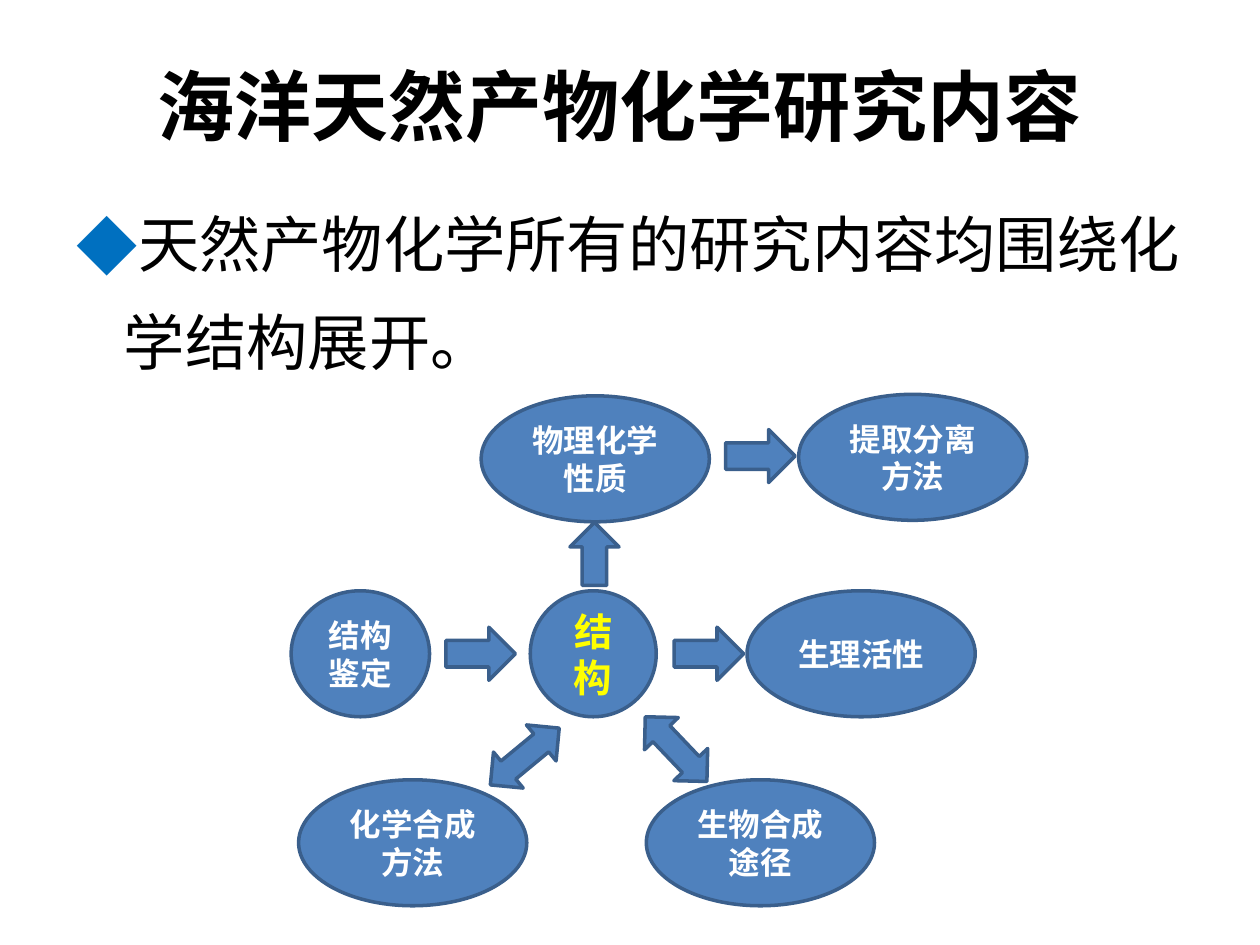
from lxml import etree
from pptx import Presentation
from pptx import util as u
from pptx.dml.color import RGBColor
from pptx.enum import shapes, text
from pptx.oxml import ns

FONT = "Noto Sans CJK SC"
BLACK = RGBColor(0, 0, 0)
WHITE = RGBColor(255, 255, 255)
YELLOW = RGBColor(255, 255, 0)
FILL = RGBColor(0x4F, 0x81, 0xBD)
OUTLINE = RGBColor(0x3A, 0x5F, 0x8C)
BULLET = RGBColor(0x00, 0x70, 0xC0)

ROW_Y = 11.91
BOTTOM_Y = 15.72
NODE_W, NODE_H = 4.6, 2.54
ARROW_W, ARROW_H = 1.4, 1.07


class Diagram:
    def __init__(self, slide):
        self.slide = slide

    def label(self, shape, wording, size, color, bold=False,
              align=text.PP_ALIGN.CENTER, anchor=text.MSO_ANCHOR.MIDDLE):
        frame = shape.text_frame
        frame.word_wrap = True
        frame.auto_size = text.MSO_AUTO_SIZE.NONE
        frame.vertical_anchor = anchor
        frame.text = wording
        paragraph = frame.paragraphs[0]
        paragraph.alignment = align
        for run in paragraph.runs:
            font = run.font
            font.size, font.bold, font.name = u.Pt(size), bold, FONT
            font.color.rgb = color
            latin = run._r.get_or_add_rPr().find(ns.qn("a:latin"))
            latin.addnext(etree.Element(ns.qn("a:ea"), typeface=FONT))
        return paragraph

    def title(self, wording, left, top, width, height):
        heading = self.slide.shapes.title
        heading.left, heading.top = u.Cm(left), u.Cm(top)
        heading.width, heading.height = u.Cm(width), u.Cm(height)
        self.label(heading, wording, 44, BLACK, bold=True)

    def bullet(self, wording, *box):
        statement = self.slide.shapes.add_textbox(*map(u.Cm, box))
        paragraph = self.label(statement, wording, 35, BLACK,
                               align=text.PP_ALIGN.LEFT,
                               anchor=text.MSO_ANCHOR.TOP)
        properties = paragraph._p.get_or_add_pPr()
        indent = u.Cm(0.95)
        properties.set("marL", str(indent))
        properties.set("indent", str(-indent))
        color = etree.SubElement(properties, ns.qn("a:buClr"))
        etree.SubElement(color, ns.qn("a:srgbClr"), val=str(BULLET))
        etree.SubElement(properties, ns.qn("a:buFont"), typeface=FONT)
        etree.SubElement(properties, ns.qn("a:buChar"), char="◆")
        paragraph.line_spacing = u.Pt(56)

    def shape(self, kind, *box):
        shape = self.slide.shapes.add_shape(kind, *map(u.Cm, box))
        shape.shadow.inherit = False
        shape.fill.solid()
        shape.fill.fore_color.rgb = FILL
        shape.line.color.rgb = OUTLINE
        shape.line.width = u.Pt(2)
        return shape

    def node(self, wording, left, top, width=NODE_W, size=18, color=WHITE):
        ellipse = self.shape(shapes.MSO_SHAPE.OVAL, left, top, width, NODE_H)
        self.label(ellipse, wording, size, color, bold=True)

    def arrow(self, left, top, width=ARROW_W, height=ARROW_H, rotation=0,
              kind=shapes.MSO_SHAPE.RIGHT_ARROW):
        self.shape(kind, left, top, width, height).rotation = rotation

    def double_arrow(self, left, top, rotation):
        self.arrow(left, top, 1.8, 0.94, rotation,
                   shapes.MSO_SHAPE.LEFT_RIGHT_ARROW)


def main():
    deck = Presentation()
    deck.slide_width, deck.slide_height = u.Cm(25.4), u.Cm(19.05)
    diagram = Diagram(deck.slides.add_slide(deck.slide_layouts[5]))

    diagram.title("海洋天然产物化学研究内容", 1.07, 0.53, 22.86, 3.18)
    diagram.bullet("天然产物化学所有的研究内容均围绕化学结构展开。",
                   1.3, 3.53, 23.19, 4.39)

    diagram.node("结构", 10.69, ROW_Y, width=2.54, size=22, color=YELLOW)
    diagram.node("结构鉴定", 5.87, ROW_Y, width=2.79)
    diagram.node("生理活性", 15.06, ROW_Y)
    diagram.node("物理化学性质", 9.7, 7.98)
    diagram.node("提取分离方法", 16.1, 7.95)
    diagram.node("化学合成方法", 6.02, BOTTOM_Y)
    diagram.node("生物合成途径", 13.03, BOTTOM_Y)

    row_arrow_y = ROW_Y + (NODE_H - ARROW_H) / 2
    diagram.arrow(8.99, row_arrow_y)
    diagram.arrow(13.59, row_arrow_y)
    diagram.arrow(14.63, 8.66)
    diagram.arrow(11.35, 10.67, 1.27, 0.99, rotation=270)
    diagram.double_arrow(9.68, 14.78, 320.5)
    diagram.double_arrow(12.73, 14.63, 226.4)

    deck.save("out.pptx")


if __name__ == "__main__":
    main()
